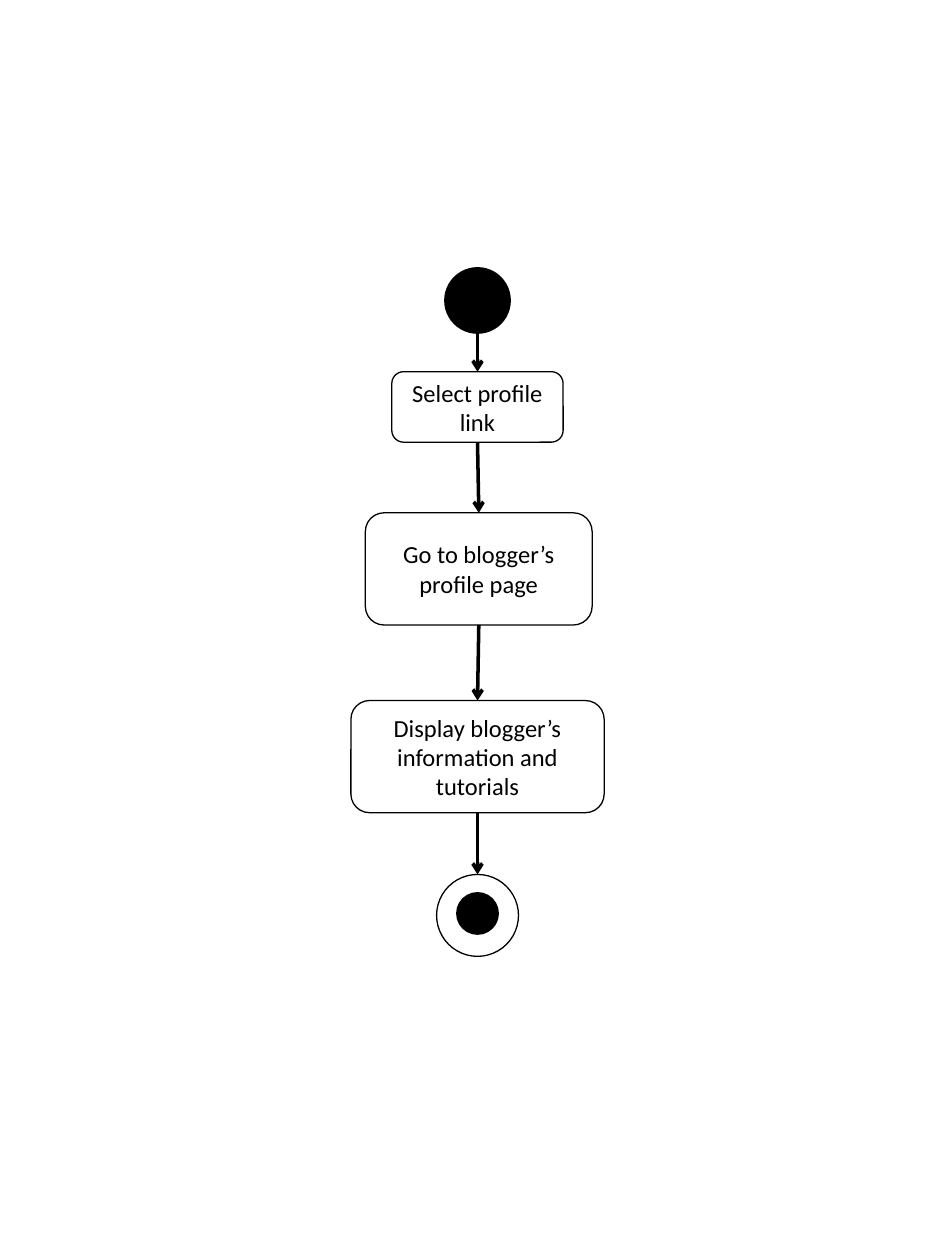
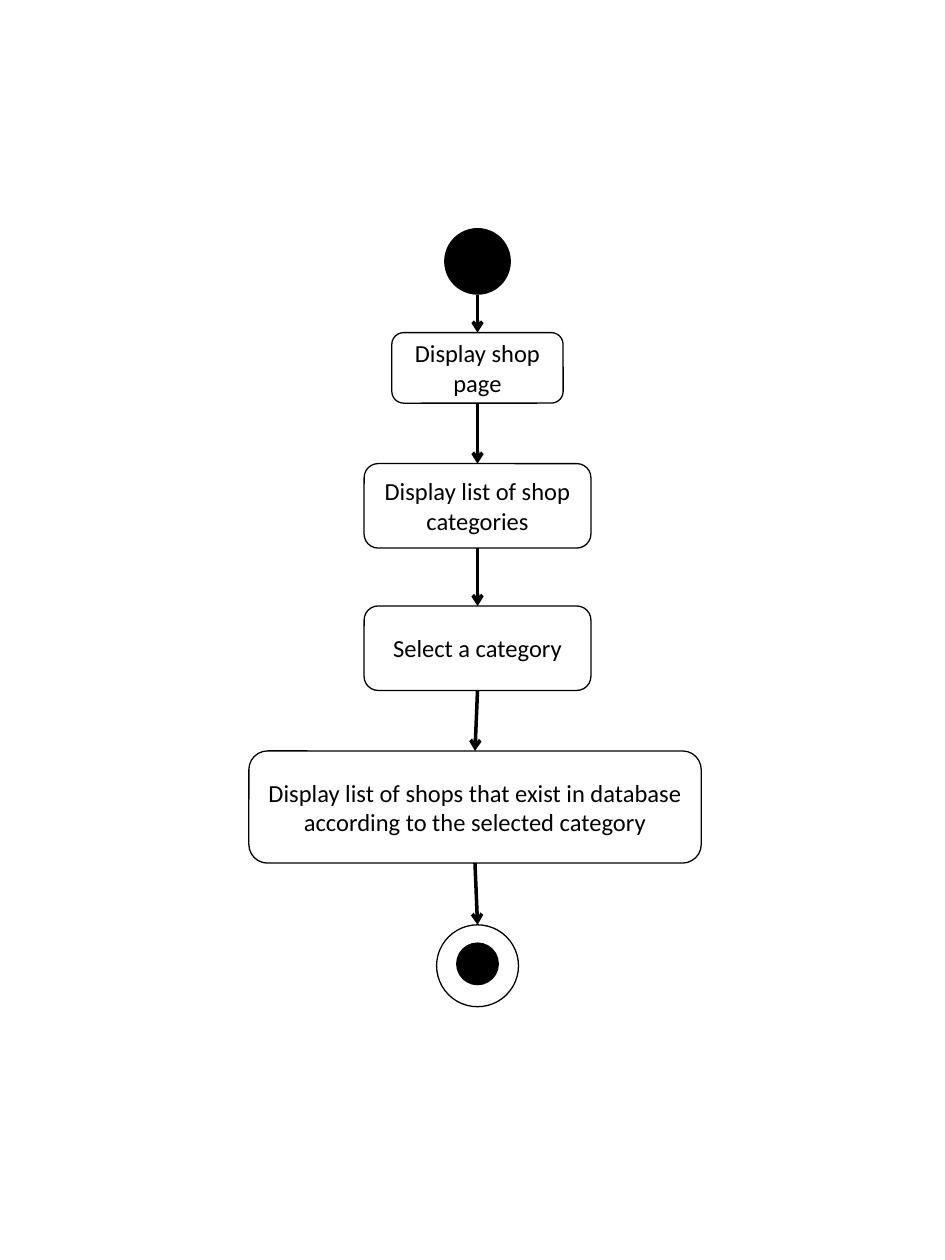
from lxml.etree import SubElement
from pptx import Presentation
from pptx.dml.color import RGBColor
from pptx.enum.shapes import MSO_CONNECTOR as Connector, MSO_SHAPE as Shape
from pptx.enum.text import MSO_ANCHOR as Anchor, PP_ALIGN as Align
from pptx.oxml.ns import qn
from pptx.util import Inches, Pt

BLACK, WHITE = "000000", "FFFFFF"
BLANK_LAYOUT = 6
TOP, BOTTOM = 0, 2


def color(value):
    return RGBColor.from_string(value)


def apply(target, values):
    for name, value in values.items():
        setattr(target, name, value)


class ActivityDiagram:
    center = 3.79
    start_size, end_size, core_size = 0.53, 0.65, 0.34
    outline_width, arrow_width = Pt(0.75), Pt(2)
    font_format = {"name": "Calibri", "size": Pt(14)}
    frame_format = {"word_wrap": True, "vertical_anchor": Anchor.MIDDLE}

    def __init__(self, presentation):
        self.presentation = presentation
        self.slide = None

    def add_slide(self):
        layout = self.presentation.slide_layouts[BLANK_LAYOUT]
        self.slide = self.presentation.slides.add_slide(layout)

    def node(self, kind, center, top, width, height, fill=WHITE):
        shape = self.slide.shapes.add_shape(
            kind, Inches(center - width / 2), Inches(top), Inches(width), Inches(height))
        shape.shadow.inherit = False
        shape.fill.solid()
        shape.fill.fore_color.rgb = color(fill)
        if fill == BLACK:
            shape.line.fill.background()
        else:
            shape.line.color.rgb = color(BLACK)
            shape.line.width = self.outline_width
        return shape

    def circle(self, top, size, fill):
        return self.node(Shape.OVAL, self.center, top, size, size, fill)

    def start(self, top):
        return self.circle(top, self.start_size, BLACK)

    def end(self, top):
        ring = self.circle(top, self.end_size, WHITE)
        self.circle(top + 0.14, self.core_size, BLACK)
        return ring

    def action(self, text, center, top, width, height):
        shape = self.node(Shape.ROUNDED_RECTANGLE, center, top, width, height)
        frame = shape.text_frame
        apply(frame, self.frame_format)
        frame.text = text
        paragraph = frame.paragraphs[0]
        paragraph.alignment = Align.CENTER
        font = paragraph.runs[0].font
        apply(font, self.font_format)
        font.color.rgb = color(BLACK)
        return shape

    def arrow(self, source, target):
        connector = self.slide.shapes.add_connector(
            Connector.STRAIGHT,
            source.left + source.width // 2, source.top + source.height,
            target.left + target.width // 2, target.top)
        if source.auto_shape_type == Shape.ROUNDED_RECTANGLE:
            connector.begin_connect(source, BOTTOM)
        connector.end_connect(target, TOP)
        connector.line.color.rgb = color(BLACK)
        connector.line.width = self.arrow_width
        properties = connector._element.spPr
        SubElement(properties.find(qn("a:ln")), qn("a:tailEnd"), type="arrow")
        SubElement(properties, qn("a:effectLst"))

    def flow(self, start_top, actions, end_top):
        self.add_slide()
        steps = [self.start(start_top)]
        steps += [self.action(*action) for action in actions]
        steps.append(self.end(end_top))
        for source, target in zip(steps, steps[1:]):
            self.arrow(source, target)


presentation = Presentation()
apply(presentation, {"slide_width": Inches(7.5), "slide_height": Inches(10)})
diagram = ActivityDiagram(presentation)

diagram.flow(2.12, [
    ("Select profile link", 3.79, 2.95, 1.36, 0.56),
    ("Go to blogger’s profile page", 3.8, 4.07, 1.8, 0.89),
    ("Display blogger’s information and tutorials", 3.79, 5.56, 2.01, 0.89),
], 6.94)

diagram.flow(1.81, [
    ("Display shop page", 3.79, 2.64, 1.36, 0.56),
    ("Display list of shop categories", 3.79, 3.68, 1.8, 0.67),
    ("Select a category", 3.79, 4.81, 1.8, 0.67),
    ("Display list of shops that exist in database according to the selected category",
     3.77, 5.96, 3.59, 0.89),
], 7.34)

presentation.save("out.pptx")
